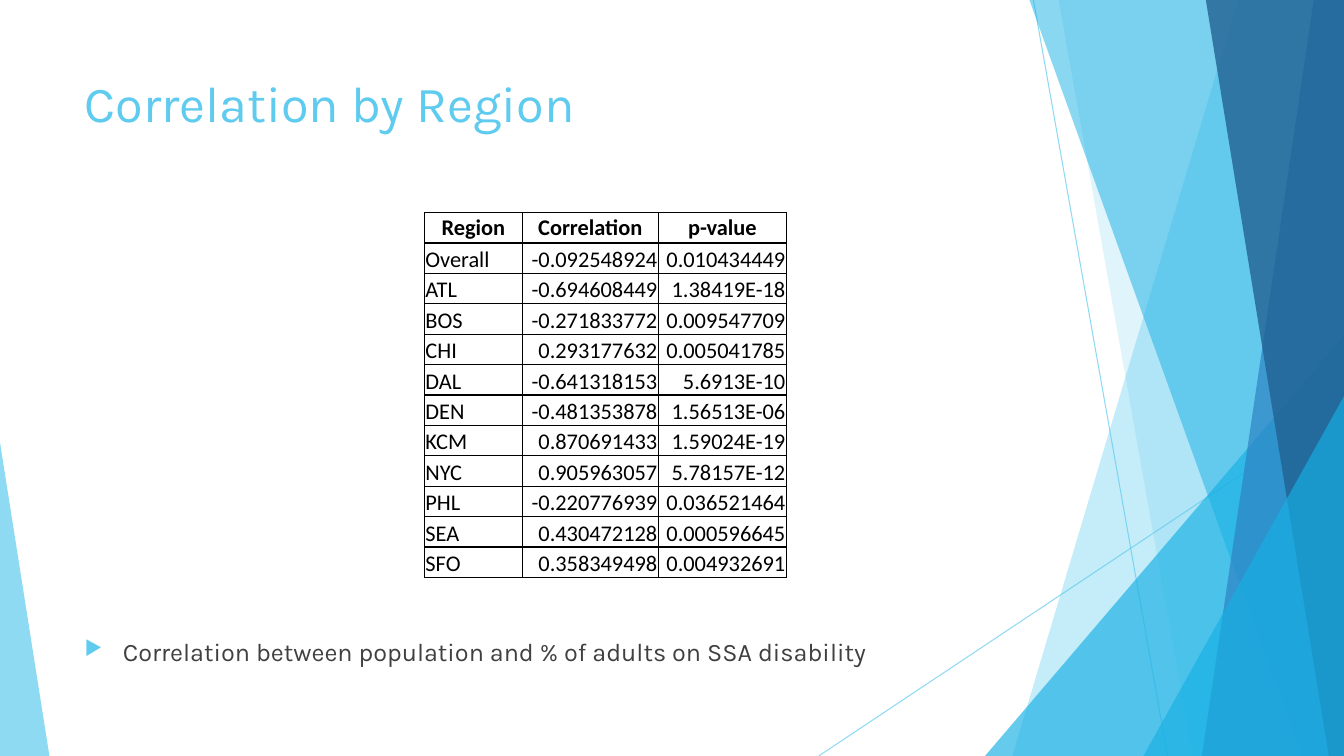
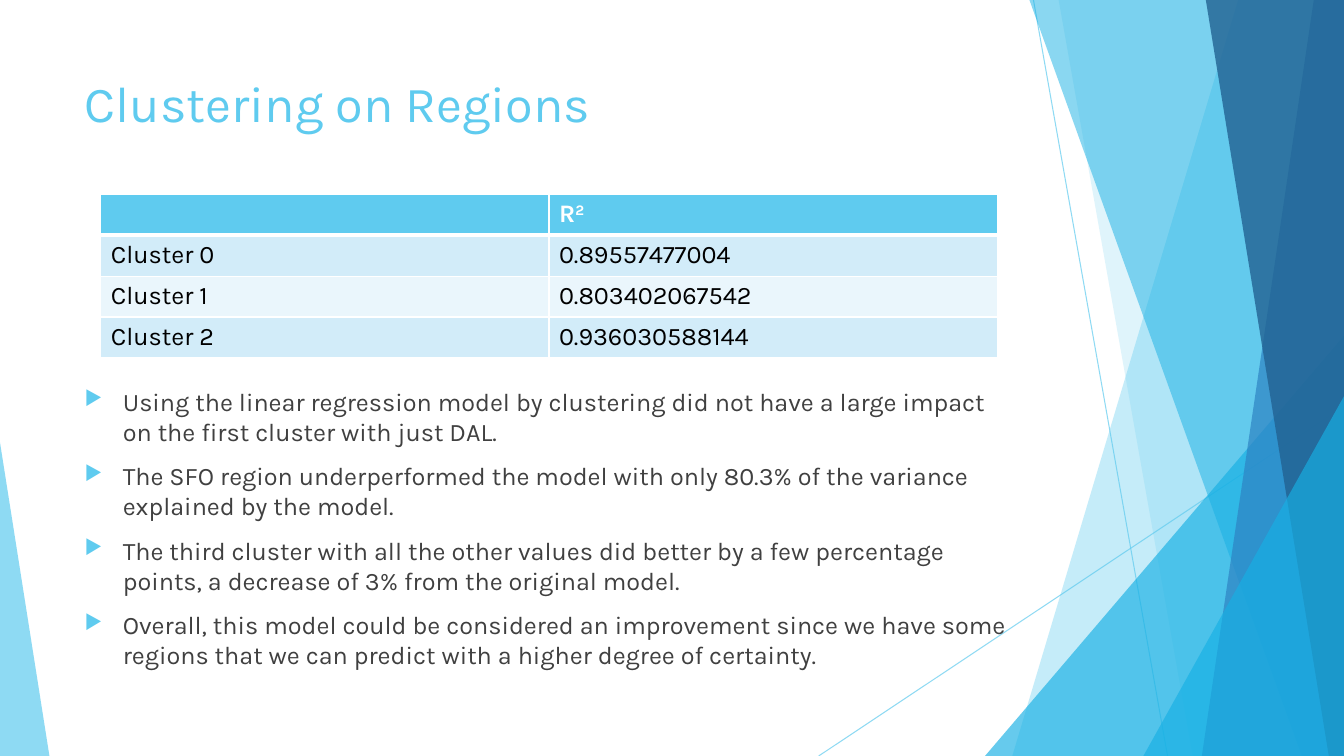
from pptx import Presentation
from pptx.dml.color import RGBColor
from pptx.enum.shapes import MSO_CONNECTOR, MSO_SHAPE
from pptx.enum.text import MSO_ANCHOR, PP_ALIGN
from pptx.oxml.ns import qn
from pptx.util import Inches, Pt
from lxml.etree import SubElement, Element

W, H = 13.33, 7.5
TITLE_ONLY = 5
FONT, DATA_FONT = "Karla", "Calibri"
C = {
    "sky": "5FCBEF", "cyan": "17B0E4", "blue": "2E83C3", "navy": "226292",
    "text": "404040", "black": "000000", "white": "FFFFFF",
    "band": "D2ECF9", "band_light": "EAF6FC",
}

RAYS = [((10.25, 0), (11.58, H)), ((W, 4.03), (8.12, H))]
FACETS = [
    ("band", 12.28, 10.04, "sky", 36),
    ("band", 10.5, 11.83, "sky", 20),
    ("triangle", (9.77, 3.33, 3.56, 4.17), 1, "cyan", 66),
    ("band", 10.21, 12.91, "cyan", 50),
    ("band", 13.03, 11.92, "blue", 70),
    ("band", 11.96, 13.18, "navy", 80),
    ("triangle", (11.34, 3.93, 1.99, 3.57), 1, "cyan", 66),
    ("triangle", (0, 4.39, 0.49, 3.11), 0, "sky", 70),
]

CORRELATIONS = [
    ("Region", "Correlation", "p-value"),
    ("Overall", "-0.092548924", "0.010434449"),
    ("ATL", "-0.694608449", "1.38419E-18"),
    ("BOS", "-0.271833772", "0.009547709"),
    ("CHI", "0.293177632", "0.005041785"),
    ("DAL", "-0.641318153", "5.6913E-10"),
    ("DEN", "-0.481353878", "1.56513E-06"),
    ("KCM", "0.870691433", "1.59024E-19"),
    ("NYC", "0.905963057", "5.78157E-12"),
    ("PHL", "-0.220776939", "0.036521464"),
    ("SEA", "0.430472128", "0.000596645"),
    ("SFO", "0.358349498", "0.004932691"),
]
CLUSTERS = [
    ("", "R"),
    ("Cluster 0", "0.89557477004"),
    ("Cluster 1", "0.803402067542"),
    ("Cluster 2", "0.936030588144"),
]
CORRELATION_NOTES = ["Correlation between population and % of adults on SSA disability"]
CLUSTER_NOTES = [
    "Using the linear regression model by clustering did not have a large impact "
    "on the first cluster with just DAL.",
    "The SFO region underperformed the model with only 80.3% of the variance "
    "explained by the model.",
    "The third cluster with all the other values did better by a few percentage "
    "points, a decrease of 3% from the original model.",
    "Overall, this model could be considered an improvement since we have some "
    "regions that we can predict with a higher degree of certainty.",
]


def rgb(name):
    return RGBColor.from_string(C[name])


def inches(*values):
    return [Inches(v) for v in values]


def set_alpha(sp, percent):
    for clr in sp._element.spPr.iter(qn("a:srgbClr")):
        SubElement(clr, qn("a:alpha")).set("val", str(percent * 1000))


def style_font(font, size, color, name=FONT, bold=False):
    font.name, font.size, font.bold = name, Pt(size), bold
    font.color.rgb = rgb(color)


def add_ray(shapes, start, end):
    line = shapes.add_connector(MSO_CONNECTOR.STRAIGHT, *inches(*start, *end))
    line.line.color.rgb = rgb("sky")
    line.line.width = Pt(0.75)
    set_alpha(line, 70)
    SubElement(line._element.spPr, qn("a:effectLst"))


def add_band(shapes, top_x, bottom_x):
    fb = shapes.build_freeform(*inches(top_x, 0))
    corners = [(W, 0), (W, H), (bottom_x, H)]
    fb.add_line_segments([inches(*pt) for pt in corners], close=True)
    return fb.convert_to_shape()


def add_triangle(shapes, box, apex):
    sp = shapes.add_shape(MSO_SHAPE.ISOSCELES_TRIANGLE, *inches(*box))
    sp.adjustments[0] = apex
    return sp


def add_backdrop(s):
    shapes = s.shapes.add_group_shape().shapes
    for start, end in RAYS:
        add_ray(shapes, start, end)
    draw = {"band": add_band, "triangle": add_triangle}
    for kind, first, second, color, alpha in FACETS:
        sp = draw[kind](shapes, first, second)
        sp.shadow.inherit = False
        sp.fill.solid()
        sp.fill.fore_color.rgb = rgb(color)
        sp.line.fill.background()
        set_alpha(sp, alpha)


def add_title(s, box, text):
    title = s.shapes.title
    title.left, title.top, title.width, title.height = inches(*box)
    tf = title.text_frame
    tf.text = text
    tf.word_wrap = True
    tf.vertical_anchor = MSO_ANCHOR.TOP
    p = tf.paragraphs[0]
    p.alignment = PP_ALIGN.LEFT
    style_font(p.runs[0].font, 36, "sky")


def set_bullet(p):
    pPr = p._p.get_or_add_pPr()
    pPr.set("marL", str(Inches(0.38)))
    pPr.set("indent", str(-Inches(0.38)))
    clr = SubElement(pPr, qn("a:buClr"))
    SubElement(clr, qn("a:srgbClr")).set("val", C["sky"])
    SubElement(pPr, qn("a:buSzPct")).set("val", "80000")
    SubElement(pPr, qn("a:buChar")).set("char", "▶")


def add_bullets(s, box, items):
    tf = s.shapes.add_textbox(*inches(*box)).text_frame
    tf.word_wrap = True
    tf.text = "\n".join(items)
    for p in tf.paragraphs:
        p.space_before = Pt(10)
        set_bullet(p)
        style_font(p.runs[0].font, 18, "text")


def set_borders(cell, color, bottom=1, width=1):
    tcPr = cell._tc.get_or_add_tcPr()
    edges = {"a:lnL": width, "a:lnR": width, "a:lnT": width, "a:lnB": bottom}
    for i, (tag, points) in enumerate(edges.items()):
        ln = Element(qn(tag), w=str(Pt(points)))
        fill = SubElement(ln, qn("a:solidFill"))
        SubElement(fill, qn("a:srgbClr")).set("val", C[color])
        tcPr.insert(i, ln)


def add_grid(s, box, rows, widths):
    x, y, w, h = box
    frame = s.shapes.add_table(len(rows), len(widths), *inches(x, y, w, h))
    table = frame.table
    table.first_row = table.horz_banding = False
    for column, width in zip(table.columns, widths):
        column.width = Inches(width)
    for row in table.rows:
        row.height = Inches(h / len(rows))
    for i, row in enumerate(rows):
        for j, text in enumerate(row):
            table.cell(i, j).text = text
            yield i, j, table.cell(i, j)


def add_correlation_table(s, box):
    for i, j, cell in add_grid(s, box, CORRELATIONS, [0.97, 1.35, 1.27]):
        cell.fill.background()
        set_borders(cell, "black")
        cell.margin_left = cell.margin_right = cell.margin_top = Inches(0.01)
        cell.margin_bottom = 0
        cell.vertical_anchor = MSO_ANCHOR.BOTTOM if i else MSO_ANCHOR.TOP
        p = cell.text_frame.paragraphs[0]
        body_align = PP_ALIGN.RIGHT if j else PP_ALIGN.LEFT
        p.alignment = body_align if i else PP_ALIGN.CENTER
        style_font(p.runs[0].font, 16, "black", DATA_FONT, bold=i == 0)


def add_cluster_table(s, box):
    for i, j, cell in add_grid(s, box, CLUSTERS, [box[2] / 2] * 2):
        header = i == 0
        cell.fill.solid()
        band = "band" if i % 2 else "band_light"
        cell.fill.fore_color.rgb = rgb("sky" if header else band)
        set_borders(cell, "white", bottom=3 if header else 1)
        p = cell.text_frame.paragraphs[0]
        if header and j:
            r = p.add_run()
            r.text = "2"
            r._r.get_or_add_rPr().set("baseline", "30000")
        for r in p.runs:
            style_font(r.font, 18, "white" if header else "black", bold=header)


def add_content_slide(prs, title):
    s = prs.slides.add_slide(prs.slide_layouts[TITLE_ONLY])
    add_backdrop(s)
    add_title(s, (0.74, 0.67, 9.4, 1.44), title)
    return s


def add_correlation_slide(prs):
    s = add_content_slide(prs, "Correlation by Region")
    add_correlation_table(s, (4.21, 2.11, 3.59, 3.62))
    add_bullets(s, (0.74, 6.26, 9.4, 0.53), CORRELATION_NOTES)


def add_cluster_slide(prs):
    s = add_content_slide(prs, "Clustering on Regions")
    add_bullets(s, (0.74, 3.78, 9.4, 2.83), CLUSTER_NOTES)
    add_cluster_table(s, (1, 1.93, 8.89, 1.62))


def main():
    prs = Presentation()
    prs.slide_width, prs.slide_height = inches(W, H)
    add_correlation_slide(prs)
    add_cluster_slide(prs)
    prs.save("out.pptx")


if __name__ == "__main__":
    main()
